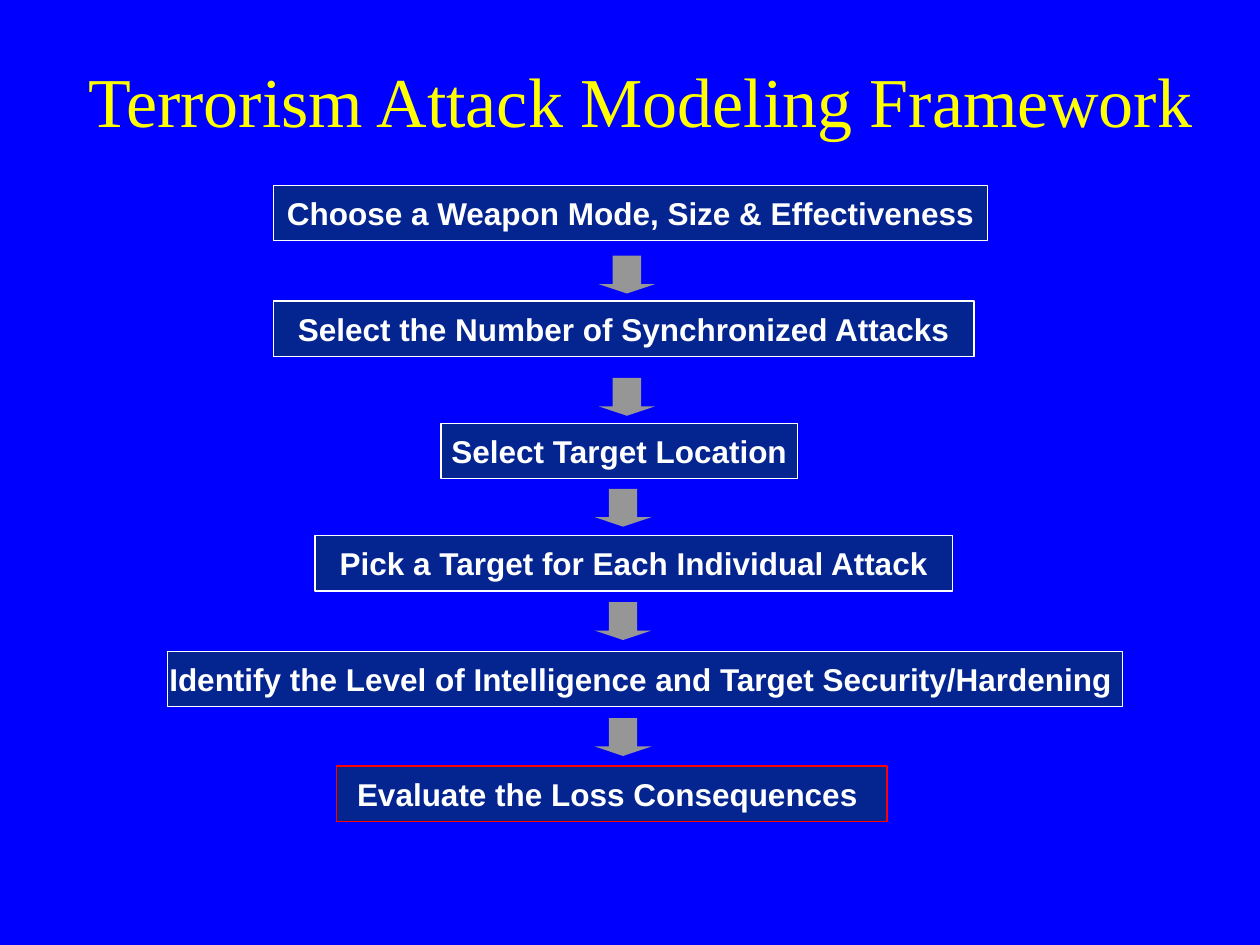
import pptx
import pptx.util
import pptx.dml.color
import pptx.enum.shapes
import pptx.enum.text

Inches, Pt = pptx.util.Inches, pptx.util.Pt
KIND = pptx.enum.shapes.MSO_SHAPE

# Content: text, left, top, width, line colour
TITLE = "Terrorism Attack Modeling Framework"
STEPS = [
    ("Choose a Weapon Mode, Size & Effectiveness", 2.17, 1.47, 5.67, "FFFFFF"),
    ("Select the Number of Synchronized Attacks", 2.17, 2.39, 5.56, "FFFFFF"),
    ("Select Target Location", 3.5, 3.36, 2.83, "FFFFFF"),
    ("Pick a Target for Each Individual Attack", 2.5, 4.25, 5.06, "FFFFFF"),
    ("Identify the Level of Intelligence and Target Security/Hardening ",
     1.33, 5.17, 7.58, "FFFFFF"),
    ("Evaluate the Loss Consequences ", 2.67, 6.08, 4.37, "FF0000"),
]
# Left and top of the arrow after each step
ARROWS = [(4.75, 2.03), (4.75, 3), (4.72, 3.88), (4.72, 4.78), (4.72, 5.7)]


def rgb(code):
    return pptx.dml.color.RGBColor.from_string(code)


def write(shape, text, font, size, color, bold=False, wrap=False):
    frame = shape.text_frame
    frame.word_wrap = wrap
    frame.vertical_anchor = pptx.enum.text.MSO_ANCHOR.MIDDLE
    para = frame.paragraphs[0]
    para.text = text
    para.alignment = pptx.enum.text.PP_ALIGN.CENTER
    para.font.name, para.font.size, para.font.bold = font, Pt(size), bold
    para.font.color.rgb = rgb(color)


def draw(kind, left, top, width, height, fill):
    shape = slide.shapes.add_shape(
        kind, Inches(left), Inches(top), Inches(width), Inches(height))
    shape.shadow.inherit = False
    shape.fill.solid()
    shape.fill.fore_color.rgb = rgb(fill)
    return shape


deck = pptx.Presentation()
deck.slide_width, deck.slide_height = Inches(10), Inches(7.5)
slide = deck.slides.add_slide(deck.slide_layouts[6])
slide.background.fill.solid()
slide.background.fill.fore_color.rgb = rgb("0000FF")

# Title
title = slide.shapes.add_textbox(
    Inches(0.42), Inches(0.33), Inches(9.33), Inches(0.92))
write(title, TITLE, "Times New Roman", 40, "FFFF00", wrap=True)

# Step boxes
for text, left, top, width, line in STEPS:
    box = draw(KIND.RECTANGLE, left, top, width, 0.44, "042590")
    box.line.color.rgb = rgb(line)
    box.line.width = Pt(0.75)
    write(box, text, "Arial", 18, "FFFFFF", bold=True)

# Arrows between the steps
for left, top in ARROWS:
    arrow = draw(KIND.DOWN_ARROW, left, top, 0.45, 0.3, "969696")
    arrow.adjustments[0], arrow.adjustments[1] = 0.5, 0.25
    arrow.line.fill.background()

deck.save("out.pptx")
